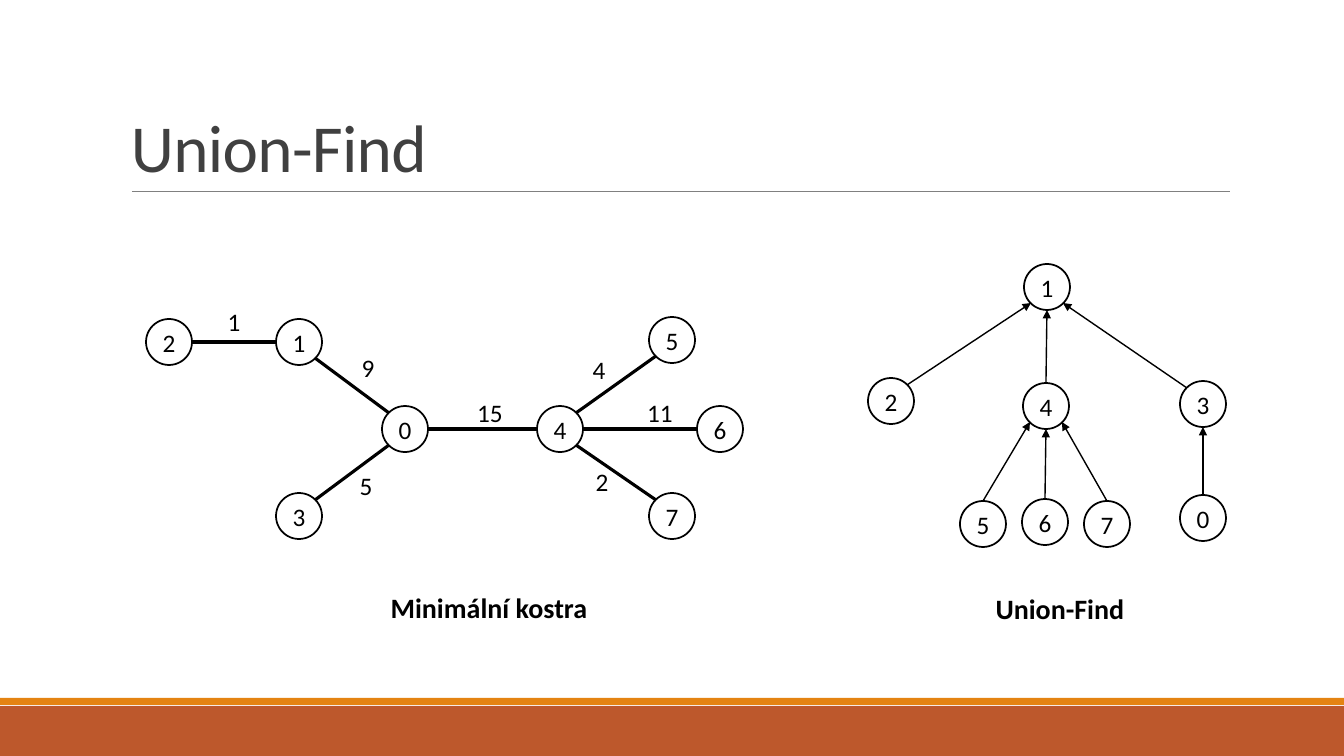
from lxml.etree import SubElement as Sub
from pptx import Presentation
from pptx.dml.color import RGBColor as Rgb
from pptx.enum.shapes import MSO_CONNECTOR as Conn, MSO_SHAPE as Kind
from pptx.enum.text import MSO_ANCHOR as Anchor, PP_ALIGN as Align
from pptx.oxml.ns import qn
from pptx.util import Emu, Pt

SCALE = 12192000 / 1344
RIM = 23
SLANT = 16
FONT = "Calibri"
COLORS = {"ink": "000000", "title": "404040", "rule": "808080",
          "rust": "BD582C", "amber": "E48312"}
SITES = {"n": (0, -RIM), "s": (0, RIM), "w": (-RIM, 0), "e": (RIM, 0),
         "nw": (-SLANT, -SLANT), "ne": (SLANT, -SLANT),
         "sw": (-SLANT, SLANT), "se": (SLANT, SLANT)}

SPAN = {"2": (169, 342), "1": (299, 342), "0": (405, 429), "3": (299, 516),
        "4": (560, 429), "5": (672, 340), "6": (720, 429), "7": (672, 516)}
SPAN_EDGES = [("2", "e", "1", "w"), ("0", "nw", "1", "se"),
              ("3", "ne", "0", "sw"), ("0", "e", "4", "w"),
              ("7", "nw", "4", "se"), ("6", "w", "4", "e"),
              ("5", "sw", "4", "ne")]
WEIGHTS = [("1", 234, 321), ("5", 366, 485), ("4", 599, 369), ("2", 602, 481),
           ("9", 368, 367), ("11", 660, 412), ("15", 490, 412)]

UNION = {"1": (1047, 287), "2": (891, 401), "3": (1203, 404), "4": (1046, 406),
         "0": (1203, 518), "5": (983, 524), "6": (1045, 522), "7": (1107, 524)}
UNION_EDGES = [("2", "ne", "1", "sw"), ("3", "nw", "1", "se"),
               ("4", "n", "1", "s"), ("0", "n", "3", "s"),
               ("6", "n", "4", "s"), ("7", "n", "4", "se"),
               ("5", "n", "4", "sw")]


def px(*nums):
    return [Emu(round(n * SCALE)) for n in nums]


def color(name):
    return Rgb.from_string(COLORS[name])


def write(shape, text, size, tint="ink", bold=False):
    frame = shape.text_frame
    frame.margin_left = frame.margin_right = 0
    frame.margin_top = frame.margin_bottom = 0
    frame.vertical_anchor = Anchor.MIDDLE
    frame.word_wrap = False
    para = frame.paragraphs[0]
    para.text = text
    para.alignment = Align.CENTER
    font = para.font
    font.name, font.size, font.bold = FONT, Pt(size), bold
    font.color.rgb = color(tint)
    return para


def add_bar(slide, top, height, tint):
    bar = slide.shapes.add_shape(Kind.RECTANGLE, *px(0, top, 1344, height))
    bar.shadow.inherit = False
    bar.fill.solid()
    bar.fill.fore_color.rgb = color(tint)
    bar.line.fill.background()


def add_line(slide, start, end, width, tint="ink", arrow=False):
    line = slide.shapes.add_connector(Conn.STRAIGHT, *px(*start, *end))
    line.line.width = Pt(width)
    line.line.color.rgb = color(tint)
    if arrow:
        Sub(line.line._get_or_add_ln(), qn("a:tailEnd"), type="triangle")
    Sub(line._element.spPr, qn("a:effectLst"))


def add_title(slide, text):
    box = slide.shapes.add_textbox(*px(131, 31, 1089, 155))
    para = write(box, text, 48, "title")
    box.text_frame.vertical_anchor = Anchor.BOTTOM
    box.text_frame.word_wrap = True
    para.alignment = Align.LEFT
    para.line_spacing = 0.85
    para.runs[0]._r.get_or_add_rPr().set("spc", "-50")


def add_label(slide, text, x, y, width=46, size=18, bold=False):
    box = slide.shapes.add_textbox(*px(x - width / 2, y - 20, width, 40))
    write(box, text, size, bold=bold)


def add_node(slide, text, x, y):
    node = slide.shapes.add_shape(
        Kind.OVAL, *px(x - RIM, y - RIM, 2 * RIM, 2 * RIM))
    node.shadow.inherit = False
    node.fill.background()
    node.line.color.rgb = color("ink")
    node.line.width = Pt(1.25)
    write(node, text, 18)


def rim_point(center, site):
    return [c + d for c, d in zip(center, SITES[site])]


def add_graph(slide, nodes, edges, width, arrow=False):
    for name, center in nodes.items():
        add_node(slide, name, *center)
    for tail, out, head, into in edges:
        add_line(slide, rim_point(nodes[tail], out),
                 rim_point(nodes[head], into), width, arrow=arrow)


def main():
    deck = Presentation()
    deck.slide_width, deck.slide_height = px(1344, 756)
    slide = deck.slides.add_slide(deck.slide_layouts[6])
    add_bar(slide, 706, 50, "rust")
    add_bar(slide, 698, 7, "amber")
    add_line(slide, (132, 191), (1230, 191), 0.5, "rule")
    add_title(slide, "Union-Find")
    add_graph(slide, SPAN, SPAN_EDGES, 2.25)
    for text, x, y in WEIGHTS:
        add_label(slide, text, x, y)
    add_graph(slide, UNION, UNION_EDGES, 1, arrow=True)
    add_label(slide, "Minimální kostra", 489, 607, 219, 20, True)
    add_label(slide, "Union-Find", 1060, 608, 150, 20, True)
    deck.save("out.pptx")


if __name__ == "__main__":
    main()
